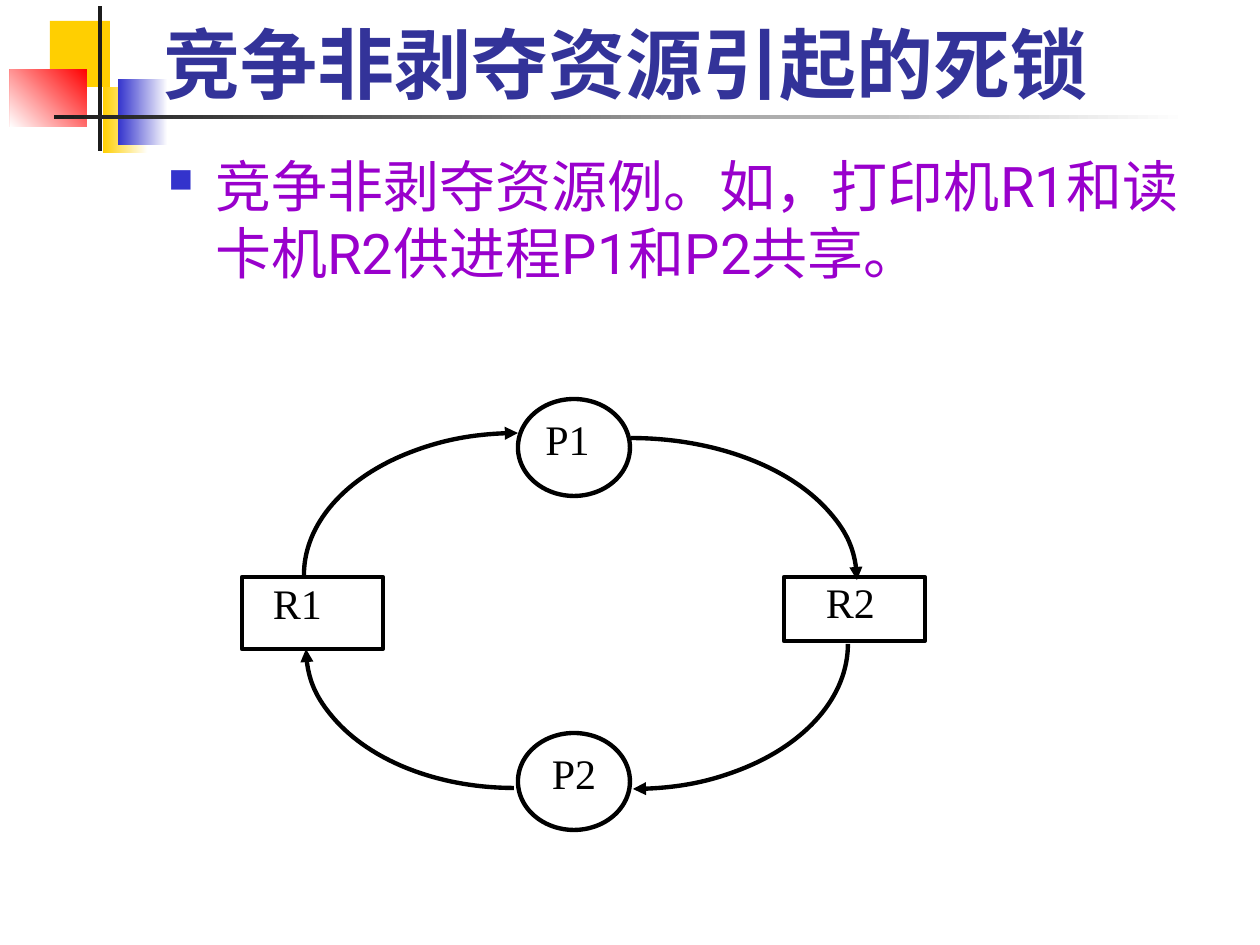
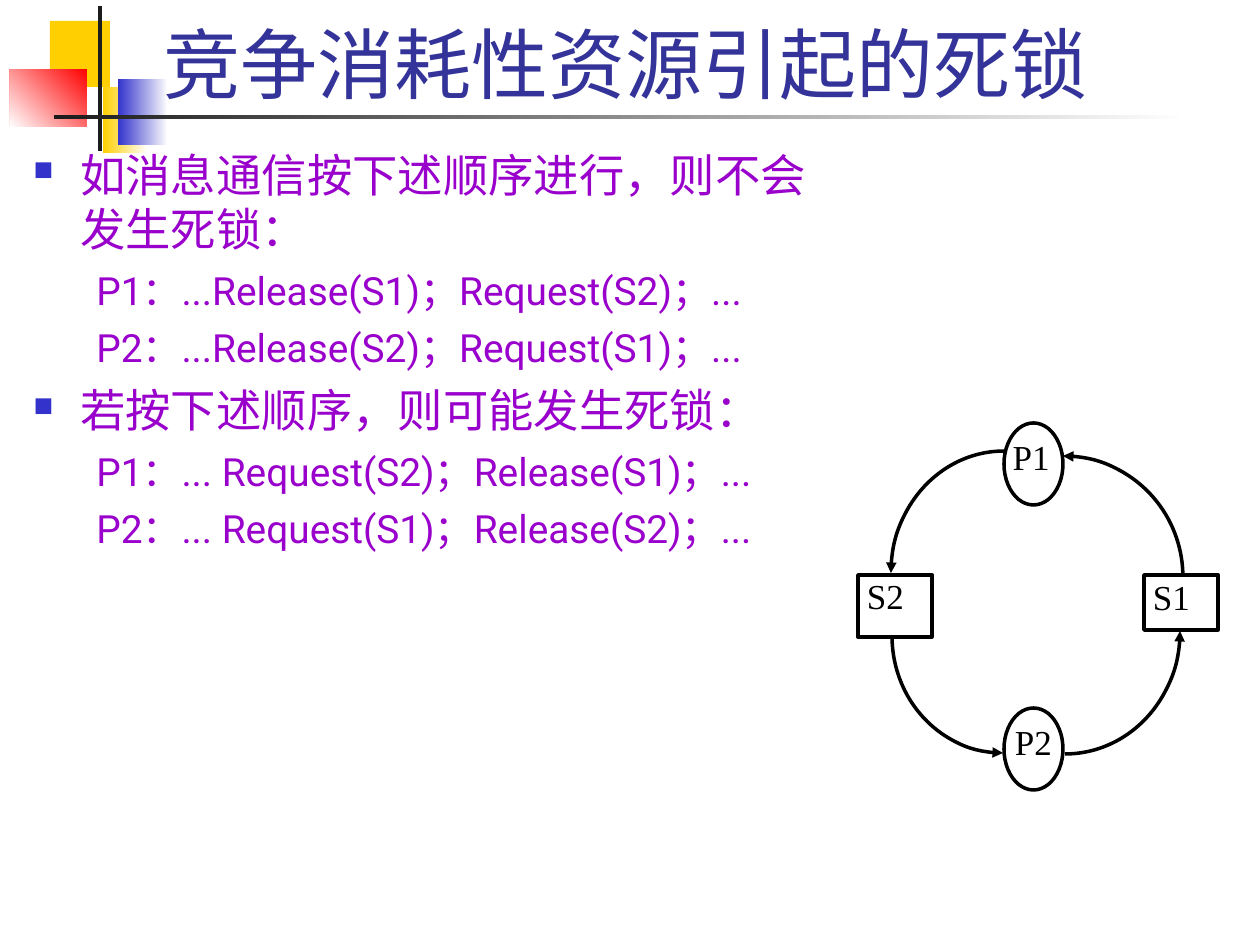
import pptx
import pptx.dml.color
import pptx.enum.lang
import pptx.enum.shapes
import pptx.enum.text
import pptx.oxml.ns
import pptx.util
from lxml import etree

EMU_PER_PX = 914400 / 126
SHAPE = pptx.enum.shapes.MSO_SHAPE
ALIGN = pptx.enum.text.PP_ALIGN
ANCHOR = pptx.enum.text.MSO_ANCHOR

TEXT_FONT = "Roboto"
LABEL_FONT = "Times New Roman"
WHITE = "FFFFFF"
BLACK = "000000"
GOLD = "FFCF01"
BLUE = "3333CC"
RED = "FF0000"
CHARCOAL = "1C1C1C"
TITLE_COLOR = "333399"
BODY_COLOR = "9900CC"


def px(length):
    return pptx.util.Emu(round(length * EMU_PER_PX))


def box(left, top, width, height):
    return px(left), px(top), px(width), px(height)


def color(hex_string):
    return pptx.dml.color.RGBColor.from_string(hex_string)


def add_element(parent, tag, **attributes):
    return etree.SubElement(parent, pptx.oxml.ns.qn(tag), **attributes)


def format_runs(paragraph, size, font_name, hex_string, bold=False):
    for run in paragraph.runs:
        font = run.font
        font.size = pptx.util.Pt(size)
        font.bold = bold
        font.color.rgb = color(hex_string)
        font.name = font_name
        font.language_id = pptx.enum.lang.MSO_LANGUAGE_ID.SIMPLIFIED_CHINESE
        add_element(run._r.get_or_add_rPr(), "a:ea", typeface=font_name)


def add_plain_shape(slide, kind, bounds):
    shape = slide.shapes.add_shape(kind, *box(*bounds))
    shape.shadow.inherit = False
    return shape


# Decoration shared by the slides
def add_block(slide, bounds, start, end=None, angle=0):
    shape = add_plain_shape(slide, SHAPE.RECTANGLE, bounds)
    shape.line.fill.background()
    if end is None:
        shape.fill.solid()
        shape.fill.fore_color.rgb = color(start)
        return
    shape.fill.gradient()
    shape.fill.gradient_angle = angle
    for stop, hex_string in zip(shape.fill.gradient_stops, (start, end)):
        stop.color.rgb = color(hex_string)


def add_decoration(slide):
    add_block(slide, (50, 21, 60, 66), GOLD)
    add_block(slide, (103, 87, 45, 66), GOLD, WHITE)
    add_block(slide, (118, 79, 50, 66), BLUE, WHITE)
    add_block(slide, (10, 69, 77, 58), RED, WHITE, angle=225)
    add_block(slide, (98, 6, 4, 145), CHARCOAL)
    add_block(slide, (54, 115, 1134, 4), CHARCOAL, WHITE)


# Title and body text
def add_title(slide, text, bold):
    text_frame = slide.shapes.add_textbox(*box(151, 21, 1074, 94)).text_frame
    text_frame.word_wrap = True
    text_frame.vertical_anchor = ANCHOR.BOTTOM
    text_frame.text = text
    format_runs(text_frame.paragraphs[0], 44, TEXT_FONT, TITLE_COLOR, bold)


def set_indent(paragraph, margin, indent):
    properties = paragraph._p.get_or_add_pPr()
    properties.set("marL", str(px(margin)))
    properties.set("indent", str(px(indent)))
    return properties


def add_bullet(properties):
    bullet_color = add_element(properties, "a:buClr")
    add_element(bullet_color, "a:srgbClr", val=BLUE)
    add_element(properties, "a:buSzPct", val="60000")
    add_element(properties, "a:buChar", char="■")


def add_body(slide, bounds, items, sizes):
    """Each item is (level, text); sizes holds the text size of each level."""
    text_frame = slide.shapes.add_textbox(*box(*bounds)).text_frame
    text_frame.word_wrap = True
    for index, (level, text) in enumerate(items):
        paragraph = text_frame.add_paragraph() if index else text_frame.paragraphs[0]
        paragraph.text = text
        paragraph.level = level
        if index:
            paragraph.space_before = pptx.util.Pt(6 if level else 7)
        if level:
            set_indent(paragraph, 102, -39)
        else:
            add_bullet(set_indent(paragraph, 47, -47))
        format_runs(paragraph, sizes[level], TEXT_FONT, BODY_COLOR)


# Resource graph
def set_outline(shape, width):
    shape.line.color.rgb = color(BLACK)
    shape.line.width = pptx.util.Pt(width)


def add_node(slide, kind, bounds, label, inset, size, line_width):
    """An inset of None centres the label."""
    shape = add_plain_shape(slide, kind, bounds)
    shape.fill.solid()
    shape.fill.fore_color.rgb = color(WHITE)
    set_outline(shape, line_width)
    text_frame = shape.text_frame
    text_frame.word_wrap = True
    text_frame.vertical_anchor = ANCHOR.TOP
    text_frame.margin_top = text_frame.margin_bottom = text_frame.margin_right = 0
    text_frame.margin_left = px(inset or 0)
    text_frame.text = label
    paragraph = text_frame.paragraphs[0]
    paragraph.alignment = ALIGN.CENTER if inset is None else ALIGN.LEFT
    format_runs(paragraph, size, LABEL_FONT, BLACK)


def add_quarter_arc(slide, start, center, radii, clockwise, line_width):
    """Draw a quarter ellipse clockwise from the start angle, 0 being right."""
    (center_x, center_y), (radius_x, radius_y) = center, radii
    bounds = (center_x - radius_x, center_y - radius_y, 2 * radius_x, 2 * radius_y)
    shape = add_plain_shape(slide, SHAPE.ARC, bounds)
    for index, angle in enumerate((start, (start + 90) % 360)):
        shape.adjustments[index] = angle * 0.6
    shape.fill.background()
    set_outline(shape, line_width)
    end_tag = "a:tailEnd" if clockwise else "a:headEnd"
    add_element(shape.line._get_or_add_ln(), end_tag, type="triangle")


def add_graph(slide, nodes, arcs, clockwise, size, line_width):
    for node in nodes:
        add_node(slide, *node, size, line_width)
    for arc in arcs:
        add_quarter_arc(slide, *arc, clockwise, line_width)


def add_slide(presentation, title, bold=False):
    slide = presentation.slides.add_slide(presentation.slide_layouts[6])
    add_decoration(slide)
    add_title(slide, title, bold)
    return slide


def add_non_preemptive_slide(presentation):
    slide = add_slide(presentation, "竞争非剥夺资源引起的死锁", bold=True)
    add_body(slide, (156, 145, 1071, 181), [
        (0, "竞争非剥夺资源例。如，打印机R1和读卡机R2供进程P1和P2共享。"),
    ], sizes=(32,))
    nodes = [
        (SHAPE.OVAL, (518, 399, 112, 97), "P1", 11),
        (SHAPE.RECTANGLE, (242, 577, 141, 72), "R1", 31),
        (SHAPE.RECTANGLE, (784, 577, 141, 64), "R2", 42),
        (SHAPE.OVAL, (518, 733, 112, 97), "P2", None),
    ]
    arcs = [
        (270, (631, 580), (226, 142)),
        (180, (518, 575), (214, 142)),
        (90, (514, 649), (208, 139)),
        (0, (633, 644), (215, 145)),
    ]
    add_graph(slide, nodes, arcs, clockwise=True, size=24, line_width=2.5)


def add_consumable_slide(presentation):
    slide = add_slide(presentation, "竞争消耗性资源引起的死锁")
    add_body(slide, (21, 141, 819, 520), [
        (0, "如消息通信按下述顺序进行，则不会发生死锁："),
        (1, "P1：...Release(S1)；Request(S2)；..."),
        (1, "P2：...Release(S2)；Request(S1)；..."),
        (0, "若按下述顺序，则可能发生死锁："),
        (1, "P1：... Request(S2)；Release(S1)；..."),
        (1, "P2：... Request(S1)；Release(S2)；..."),
    ], sizes=(25.9, 22.2))
    nodes = [
        (SHAPE.OVAL, (1004, 423, 59, 82), "P1", 0),
        (SHAPE.RECTANGLE, (858, 575, 74, 62), "S2", 9),
        (SHAPE.RECTANGLE, (1144, 575, 74, 55), "S1", 9),
        (SHAPE.OVAL, (1004, 708, 59, 82), "P2", None),
    ]
    arcs = [
        (270, (1063, 577), (120, 121)),
        (180, (1004, 573), (113, 122)),
        (90, (1003, 636), (111, 117)),
        (0, (1065, 631), (115, 123)),
    ]
    add_graph(slide, nodes, arcs, clockwise=False, size=20, line_width=2)


def main():
    presentation = pptx.Presentation()
    presentation.slide_width = px(1260)
    presentation.slide_height = px(945)
    add_non_preemptive_slide(presentation)
    add_consumable_slide(presentation)
    presentation.save("out.pptx")


if __name__ == "__main__":
    main()
